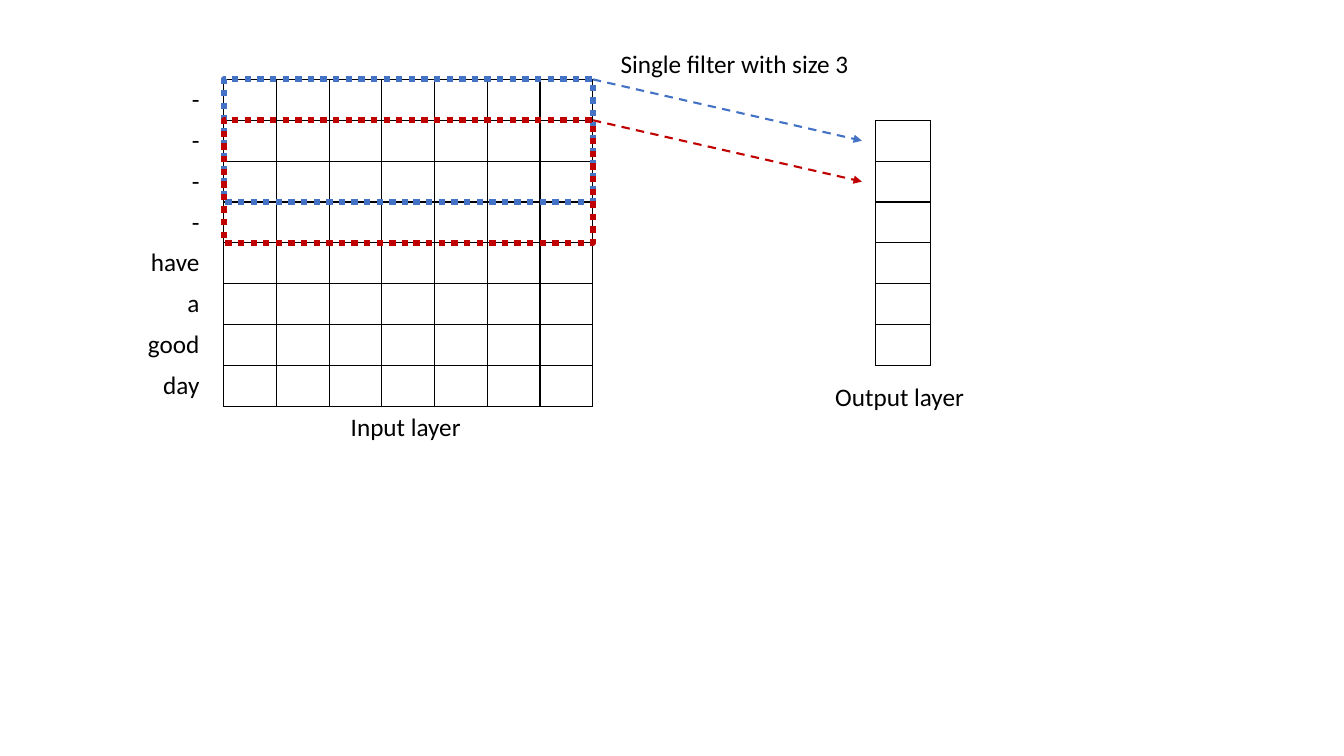
import collections
import pptx
import pptx.dml.color
import pptx.enum.dml
import pptx.enum.shapes
import pptx.enum.text
import pptx.oxml
import pptx.oxml.ns
import pptx.util
from pptx.util import Cm

Box = collections.namedtuple("Box", "left top width height")

THEME = {
    "font": "Calibri",
    "text_size": pptx.util.Pt(18),
    "text": "000000",
    "grid": "000000",
    "grid_width": pptx.util.Pt(1),
    "filters": ["4472C4", "C00000"],
    "filter_width": pptx.util.Pt(4.5),
    "arrow_width": pptx.util.Pt(1.5),
}
WORDS = ["-", "-", "-", "-", "have", "a", "good", "day"]
EMBEDDING_SIZE = 7
FILTER_SIZE = 3
OUTPUT_SIZE = len(WORDS) - FILTER_SIZE + 1
ROW = Cm(1.03)


def rgb(value):
    return pptx.dml.color.RGBColor.from_string(value)


def set_attributes(target, values):
    for name, value in values.items():
        setattr(target, name, value)


def format_line(line, color, width, dash):
    line.color.rgb = rgb(color)
    set_attributes(line, {"width": width, "dash_style": dash})


def write_text(frame, text, alignment):
    paragraph = frame.paragraphs[0]
    paragraph.alignment = alignment
    run = paragraph.add_run()
    run.text = text
    set_attributes(run.font, {"name": THEME["font"], "size": THEME["text_size"]})
    run.font.color.rgb = rgb(THEME["text"])


def add_border(cell):
    properties = cell._tc.get_or_add_tcPr()
    for index, side in enumerate("LRTB"):
        properties.insert(index, pptx.oxml.parse_xml(
            f'<a:ln{side} {pptx.oxml.ns.nsdecls("a")} w="{THEME["grid_width"]}">'
            f'<a:solidFill><a:srgbClr val="{THEME["grid"]}"/></a:solidFill>'
            f'</a:ln{side}>'))


def add_grid(slide, box, rows, columns, bordered=True):
    table = slide.shapes.add_table(rows, columns, *box).table
    set_attributes(table, {"first_row": False, "horz_banding": False})
    for cell in table.iter_cells():
        cell.fill.background()
        set_attributes(cell, {
            "margin_top": Cm(0.1),
            "margin_bottom": Cm(0.1),
            "vertical_anchor": pptx.enum.text.MSO_ANCHOR.MIDDLE,
        })
        if bordered:
            add_border(cell)
    return table


def add_caption(slide, box, text):
    frame = slide.shapes.add_textbox(*box).text_frame
    set_attributes(frame, {
        "word_wrap": False,
        "auto_size": pptx.enum.text.MSO_AUTO_SIZE.SHAPE_TO_FIT_TEXT,
    })
    write_text(frame, text, pptx.enum.text.PP_ALIGN.LEFT)


def add_input_layer(slide, box):
    # Embedding grid
    add_grid(slide, box, len(WORDS), EMBEDDING_SIZE)

    # One word beside each row
    label_box = Box(box.left - Cm(3.99), box.top, Cm(3.63), box.height)
    labels = add_grid(slide, label_box, len(WORDS), 1, bordered=False)
    for row, word in enumerate(WORDS):
        write_text(labels.cell(row, 0).text_frame, word,
                   pptx.enum.text.PP_ALIGN.RIGHT)

    add_caption(slide, Box(box.left + Cm(2.95), box.top + box.height,
                           Cm(3.33), ROW), "Input layer")


def add_output_layer(slide, box):
    add_grid(slide, box, OUTPUT_SIZE, 1)
    add_caption(slide, Box(box.left - Cm(1.27), box.top + box.height + Cm(0.28),
                           Cm(3.78), ROW), "Output layer")


def add_filter(slide, box, color, arrow_end):
    # Dotted window over the rows being read
    window = slide.shapes.add_shape(pptx.enum.shapes.MSO_SHAPE.RECTANGLE, *box)
    window.shadow.inherit = False
    window.fill.background()
    format_line(window.line, color, THEME["filter_width"],
                pptx.enum.dml.MSO_LINE.ROUND_DOT)

    # Arrow to the resulting output cell
    arrow = slide.shapes.add_connector(
        pptx.enum.shapes.MSO_CONNECTOR.STRAIGHT,
        box.left + box.width, box.top, *arrow_end)
    format_line(arrow.line, color, THEME["arrow_width"],
                pptx.enum.dml.MSO_LINE.DASH)
    namespace = pptx.oxml.ns.nsdecls("a")
    arrow.line._get_or_add_ln().append(
        pptx.oxml.parse_xml(f'<a:tailEnd {namespace} type="triangle"/>'))
    arrow._element.spPr.append(
        pptx.oxml.parse_xml(f"<a:effectLst {namespace}/>"))


def build_convolution_slide(slide, box):
    # Input and output layers
    input_box = Box(box.left + Cm(5.64), box.top + Cm(2),
                    Cm(9.3), len(WORDS) * ROW)
    output_box = Box(box.left + Cm(22.07), input_box.top + ROW,
                     Cm(1.37), OUTPUT_SIZE * ROW)
    add_input_layer(slide, input_box)
    add_output_layer(slide, output_box)

    # Filter positions, each one row further down
    for step, color in enumerate(THEME["filters"]):
        window_box = Box(input_box.left, input_box.top + step * ROW,
                         input_box.width, FILTER_SIZE * ROW)
        arrow_end = (output_box.left - Cm(0.35),
                     output_box.top + step * ROW + ROW // 2)
        add_filter(slide, window_box, color, arrow_end)
    add_caption(slide, Box(box.left + Cm(15.39), box.top + Cm(1.09),
                           Cm(6.32), ROW), "Single filter with size 3")


presentation = pptx.Presentation()
set_attributes(presentation, {"slide_width": Cm(33.87), "slide_height": Cm(19.05)})
blank_layout = presentation.slide_layouts.get_by_name("Blank")
build_convolution_slide(
    presentation.slides.add_slide(blank_layout),
    Box(0, 0, presentation.slide_width, presentation.slide_height))
presentation.save("out.pptx")
